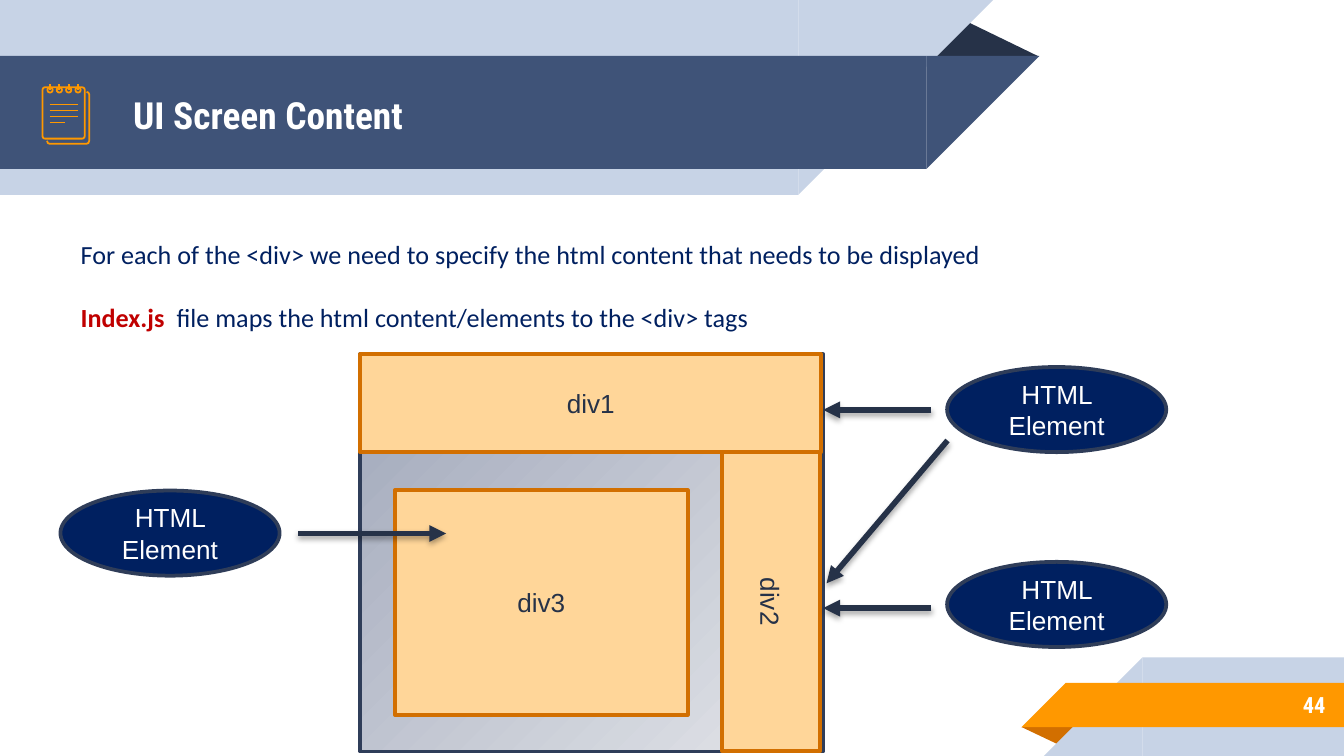
from lxml.etree import SubElement
from pptx import Presentation
from pptx.dml.color import RGBColor
from pptx.enum.shapes import MSO_CONNECTOR as Link, MSO_SHAPE as Preset
from pptx.enum.text import MSO_ANCHOR as Anchor, MSO_AUTO_SIZE as AutoSize, PP_ALIGN as Align
from pptx.oxml.ns import qn
from pptx.util import Pt

COLORS = {
    "white": "FFFFFF", "pale": "C7D3E6", "slate": "3F5378", "ink": "263248",
    "orange": "FF9800", "rust": "D26F00", "peach": "FFD699", "navy": "002060",
    "red": "C00000", "edge": "2F3D59", "screen_dark": "A0A7BA", "screen_light": "E3E5E9",
}


def rgb(name):
    return RGBColor.from_string(COLORS[name])


class SlideBuilder:
    heading_font, body_font, label_font = "Roboto Condensed", "Calibri", "Arial"

    def __init__(self, slide):
        self.slide = slide
        self.shapes = slide.shapes

    def run(self, paragraph, text, size, font, color, bold=False):
        run = paragraph.add_run()
        run.text = text
        run.font.size, run.font.name, run.font.bold = Pt(size), font, bold
        run.font.color.rgb = rgb(color)

    def outline(self, shape, line, width):
        shape.shadow.inherit = False
        if line:
            shape.line.color.rgb = rgb(line)
            shape.line.width = Pt(width)
        else:
            shape.line.fill.background()

    def shape(self, preset, box, fill=None, line=None, width=2, rotation=0, adjust=None):
        shape = self.shapes.add_shape(preset, *map(Pt, box))
        shape.rotation = rotation
        if adjust is not None:
            shape.adjustments[0] = adjust
        if fill:
            shape.fill.solid()
            shape.fill.fore_color.rgb = rgb(fill)
        else:
            shape.fill.background()
        self.outline(shape, line, width)
        return shape

    def top_band(self, top, width, height, fill):
        """Band from the left edge, with a slanted right end."""
        self.shape(Preset.RECTANGLE, (0, top, width, height), fill)
        self.shape(Preset.RIGHT_TRIANGLE, (width, top, height, height), fill, rotation=90)

    def bottom_band(self, left, top, height, fill):
        """Band to the right edge, with a slanted left end."""
        self.shape(Preset.RECTANGLE, (left, top, 720 - left, height), fill)
        self.shape(Preset.RIGHT_TRIANGLE, (left - height, top, height, height), fill, rotation=270)

    def labelled(self, preset, box, text, fill, line, color, rotation=0):
        paragraph = self.shape(preset, box, fill, line, rotation=rotation).text_frame.paragraphs[0]
        paragraph.alignment = Align.CENTER
        self.run(paragraph, text, 14, self.label_font, color)

    def screen(self, box):
        frame = self.shape(Preset.RECTANGLE, box, line="edge")
        frame.fill.gradient()
        frame.fill.gradient_angle = 315
        for stop, color in zip(frame.fill.gradient_stops, ("screen_dark", "screen_light")):
            stop.color.rgb = rgb(color)

    def line(self, start, end, color, width):
        link = self.shapes.add_connector(Link.STRAIGHT, *map(Pt, start + end))
        link.line.color.rgb = rgb(color)
        link.line.width = Pt(width)
        return link, SubElement(link.element.spPr, qn("a:effectLst"))

    def arrow(self, start, end):
        link, effects = self.line(start, end, "ink", 3)
        SubElement(link.line._get_or_add_ln(), qn("a:tailEnd"), type="triangle")
        shadow = SubElement(effects, qn("a:outerShdw"), blurRad=str(Pt(3.1)),
                            dist=str(Pt(1.8)), dir="5400000", rotWithShape="0")
        black = SubElement(shadow, qn("a:srgbClr"), val="000000")
        SubElement(black, qn("a:alpha"), val="35000")

    def open_path(self, points, color, width):
        first, *rest = [tuple(map(Pt, point)) for point in points]
        builder = self.shapes.build_freeform(*first)
        builder.add_line_segments(rest, close=False)
        path = builder.convert_to_shape()
        path.fill.background()
        self.outline(path, color, width)

    def place(self, holder, box, anchor):
        """Position a placeholder above what is drawn so far."""
        holder.left, holder.top, holder.width, holder.height = map(Pt, box)
        holder.element.getparent().append(holder.element)
        frame = holder.text_frame
        frame.word_wrap, frame.auto_size = True, AutoSize.NONE
        frame.vertical_anchor = anchor
        return frame

    def title(self, text, box):
        paragraph = self.place(self.shapes.title, box, Anchor.MIDDLE).paragraphs[0]
        paragraph.alignment = Align.LEFT
        self.run(paragraph, text, 20, self.heading_font, "white", True)

    def body(self, lines, box, gap):
        frame = self.place(self.slide.placeholders[1], box, Anchor.TOP)
        for index, runs in enumerate(lines):
            paragraph = frame.add_paragraph() if index else frame.paragraphs[0]
            paragraph.space_before = Pt(gap if index else 0)
            properties = paragraph._p.get_or_add_pPr()
            properties.set("marL", "0")
            properties.set("indent", "0")
            SubElement(properties, qn("a:buNone"))
            for text, color, bold in runs:
                self.run(paragraph, text, 14, self.body_font, color, bold)

    def page_number(self, text, box):
        frame = self.shapes.add_textbox(*map(Pt, box)).text_frame
        frame.word_wrap = True
        frame.vertical_anchor = Anchor.MIDDLE
        frame.paragraphs[0].alignment = Align.RIGHT
        self.run(frame.paragraphs[0], text, 12, self.heading_font, "white", True)

    def notepad(self):
        pen = ("orange", 0.96)
        self.open_path([(25.2, 75.4), (25.6, 76.6), (26.6, 77), (46.4, 77), (47.4, 76.6),
                        (47.8, 75.4), (47.8, 50.6), (47.4, 49.6), (46.4, 49.2)], *pen)
        self.shape(Preset.ROUNDED_RECTANGLE, (22.8, 46.8, 22.6, 27.5), None, *pen, adjust=0.06)
        for row, right in enumerate((42, 42, 42, 34.8)):
            y = 56 + 3.2 * row
            self.line((26.6, y), (right, y), *pen)
        for ring in range(4):
            x = 26.8 + 5 * ring
            self.shape(Preset.OVAL, (x - 1.4, 46.8, 2.8, 2.8), None, *pen)
            self.line((x, 45.2), (x, 48.2), *pen)


def main():
    deck = Presentation()
    deck.slide_width, deck.slide_height = Pt(720), Pt(405)
    page = SlideBuilder(deck.slides.add_slide(deck.slide_layouts[1]))

    page.shape(Preset.ISOSCELES_TRIANGLE, (495.4, 10.1, 61.2, 20.2), "ink", adjust=0.32)
    page.top_band(0, 427.7, 104.4, "pale")
    page.top_band(30, 496.3, 60.5, "slate")
    page.shape(Preset.ISOSCELES_TRIANGLE, (547.2, 389.5, 31, 10), "rust", rotation=180, adjust=0.32)
    page.bottom_band(612, 352.2, 52.8, "pale")
    page.bottom_band(571, 365.8, 23.8, "orange")

    page.title("UI Screen Content", (64.1, 31, 414, 60.5))
    page.page_number("44", (599.8, 365, 117.4, 25.2))
    page.notepad()
    page.body([
        [("For each of the <div> we need to specify the html content that needs to be displayed",
          "navy", False)],
        [("Index.js  ", "red", True),
         ("file maps the html content/elements to the <div> tags", "navy", False)],
    ], (36, 124.2, 694, 108.7), 16.8)

    page.screen((193, 189.8, 248, 212.8))
    for name, box, rotation in (("div1", (193, 189.8, 247, 52.4), 0),
                                ("div2", (332.8, 296.1, 160.4, 52.4), 90),
                                ("div3", (211.5, 262.6, 157, 120.4), 0)):
        page.labelled(Preset.RECTANGLE, box, name, "peach", "rust", "ink", rotation)
    for left, top in ((507.4, 196.6), (32.4, 262.8), (507.4, 301)):
        page.labelled(Preset.OVAL, (left, top, 117.4, 45.6), "HTML Element",
                      "navy", "edge", "white")
    for start, end in (((499, 219.6), (441, 219.6)), ((507.6, 236), (442.8, 312.5)),
                       ((499, 325.8), (441, 325.8)), ((159.8, 285.8), (239, 285.8))):
        page.arrow(start, end)

    deck.save("out.pptx")


if __name__ == "__main__":
    main()
